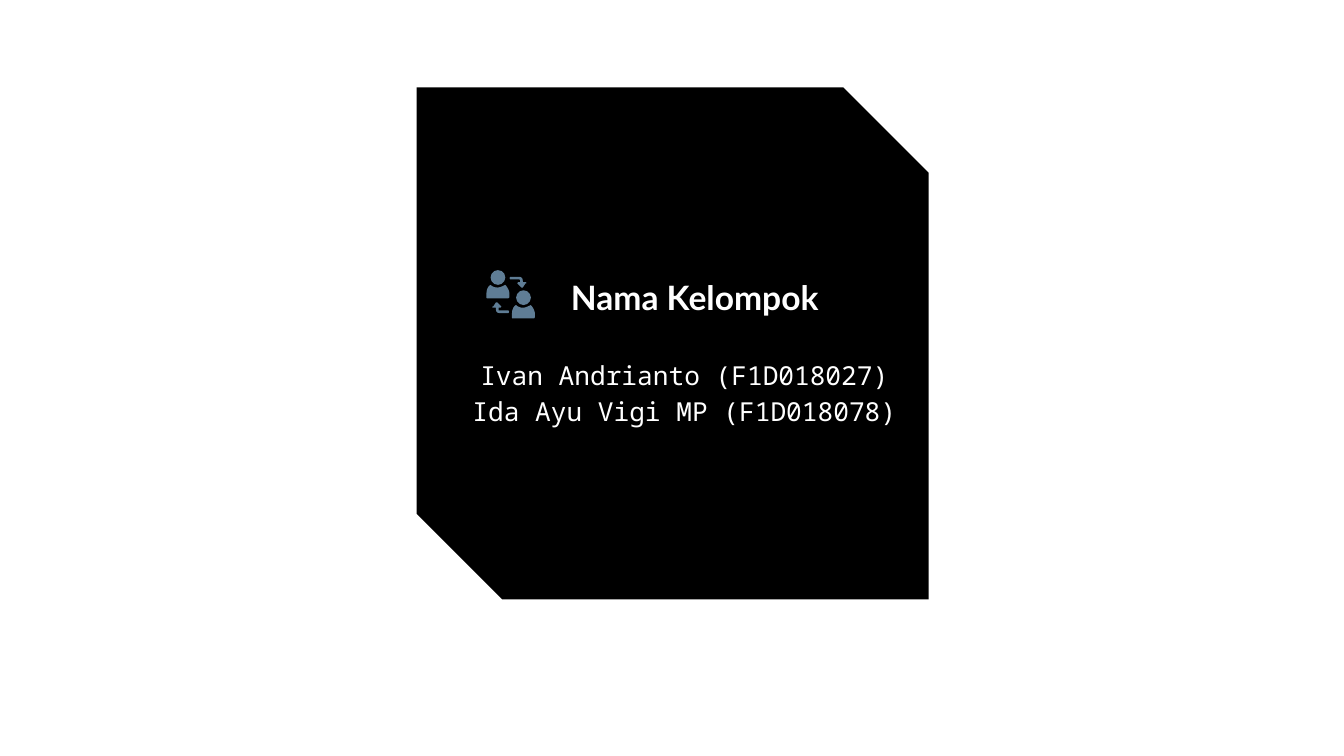
from pptx import Presentation
from pptx.dml.color import RGBColor
from pptx.enum.shapes import MSO_SHAPE
from pptx.enum.text import MSO_ANCHOR, PP_ALIGN
from pptx.util import Inches, Pt

SNIP = MSO_SHAPE.SNIP_2_DIAG_RECTANGLE
OVAL = MSO_SHAPE.OVAL
MIDDLE = MSO_ANCHOR.MIDDLE
CENTER = PP_ALIGN.CENTER

BLACK, WHITE, BLUE = "000000", "FFFFFF", "5F7D95"
STEPS = 8
HEAD = (3.65, 2.01, 0.11, 0.11)
BODY = [
    (3.65, 2.12), (3.63, 2.13, 3.62, 2.16, 3.62, 2.18), (3.62, 2.21),
    (3.62, 2.22, 3.62, 2.22, 3.63, 2.22), (3.78, 2.22),
    (3.78, 2.22, 3.79, 2.22, 3.79, 2.21), (3.79, 2.18),
    (3.79, 2.16, 3.77, 2.13, 3.76, 2.12),
    (3.74, 2.13, 3.72, 2.14, 3.7, 2.14),
    (3.68, 2.14, 3.66, 2.13, 3.65, 2.12),
]
ARROW = [
    (3.8, 2.06), (3.79, 2.06, 3.79, 2.08, 3.8, 2.08), (3.86, 2.08),
    (3.87, 2.08, 3.87, 2.08, 3.87, 2.09), (3.87, 2.1),
    (3.86, 2.1), (3.85, 2.1, 3.85, 2.11, 3.85, 2.11), (3.88, 2.14),
    (3.88, 2.14, 3.89, 2.14, 3.89, 2.14), (3.91, 2.11),
    (3.92, 2.11, 3.92, 2.1, 3.91, 2.1), (3.9, 2.1), (3.89, 2.1),
    (3.89, 2.09), (3.89, 2.07, 3.88, 2.06, 3.86, 2.06),
]


def color(code):
    return RGBColor.from_string(code)


def paint(shape, code):
    shape.shadow.inherit = False
    shape.fill.solid()
    shape.fill.fore_color.rgb = color(code)
    shape.line.fill.background()


def add_shape(shapes, kind, box, code):
    shape = shapes.add_shape(kind, *map(Inches, box))
    paint(shape, code)
    return shape


def trace(path):
    points = [path[0]]
    for part in path[1:]:
        if len(part) == 2:
            points.append(part)
            continue
        knots = [points[-1], part[:2], part[2:4], part[4:]]
        for step in range(1, STEPS + 1):
            t = step / STEPS
            parts = ((1 - t) ** 3, 3 * t * (1 - t) ** 2, 3 * t * t * (1 - t), t ** 3)
            points.append(tuple(
                sum(w * knot[axis] for w, knot in zip(parts, knots))
                for axis in (0, 1)
            ))
    return points


def add_path(shapes, points, code):
    spots = [(Inches(x), Inches(y)) for x, y in points]
    pen = shapes.build_freeform(*spots[0])
    pen.add_line_segments(spots[1:], close=True)
    paint(pen.convert_to_shape(), code)


def add_icon(slide):
    shapes = slide.shapes.add_group_shape().shapes
    left, top, width, height = HEAD
    for dx, dy in ((0, 0), (0.19, 0.15)):
        add_shape(shapes, OVAL, (left + dx, top + dy, width, height), BLUE)
        add_path(shapes, [(x + dx, y + dy) for x, y in trace(BODY)], BLUE)
    points = trace(ARROW)
    add_path(shapes, points, BLUE)
    add_path(shapes, [(7.58 - x, 4.39 - y) for x, y in points], BLUE)


def write(shape, box, lines, font, size, bold=False, space=None):
    shape.left, shape.top, shape.width, shape.height = map(Inches, box)
    frame = shape.text_frame
    frame.word_wrap = True
    frame.vertical_anchor = MIDDLE
    frame.margin_left = frame.margin_right = Inches(0.1)
    frame.margin_top = frame.margin_bottom = Inches(0.1)
    for index, line in enumerate(lines):
        para = frame.add_paragraph() if index else frame.paragraphs[0]
        para.alignment = CENTER
        if space:
            para.line_spacing = space
        run = para.add_run()
        run.text = line
        run.font.name = font
        run.font.size = Pt(size)
        run.font.bold = bold
        run.font.color.rgb = color(WHITE)


def main():
    deck = Presentation()
    deck.slide_width = Inches(10)
    deck.slide_height = Inches(10) * 9 // 16
    slide = deck.slides.add_slide(deck.slide_layouts[5])
    title = slide.shapes.title
    card = add_shape(slide.shapes, SNIP, (3.1, 0.65, 3.81, 3.81), BLACK)
    card.adjustments[0] = 0
    card.adjustments[1] = 0.167
    title.element.addprevious(card.element)
    write(title, (3.53, 1.43, 3.28, 1.56), ["Nama Kelompok"], "Lato", 18, bold=True)
    box = (3.38, 2.55, 3.43, 0.72)
    names = slide.shapes.add_textbox(*map(Inches, box))
    lines = ["Ivan Andrianto (F1D018027)", "Ida Ayu Vigi MP (F1D018078)"]
    write(names, box, lines, "Noto Sans Mono", 14, space=1.15)
    add_icon(slide)
    deck.save("out.pptx")


if __name__ == "__main__":
    main()
